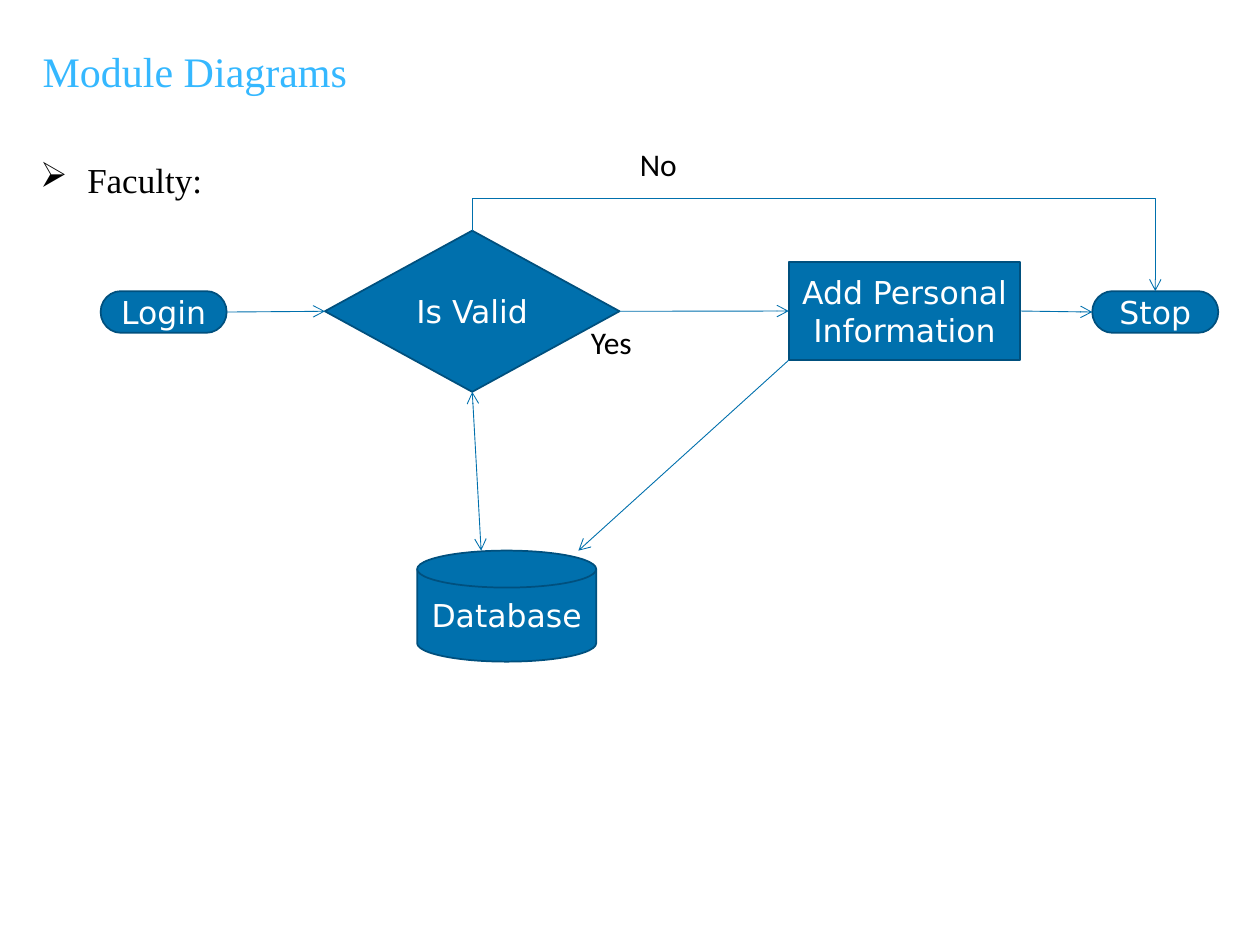
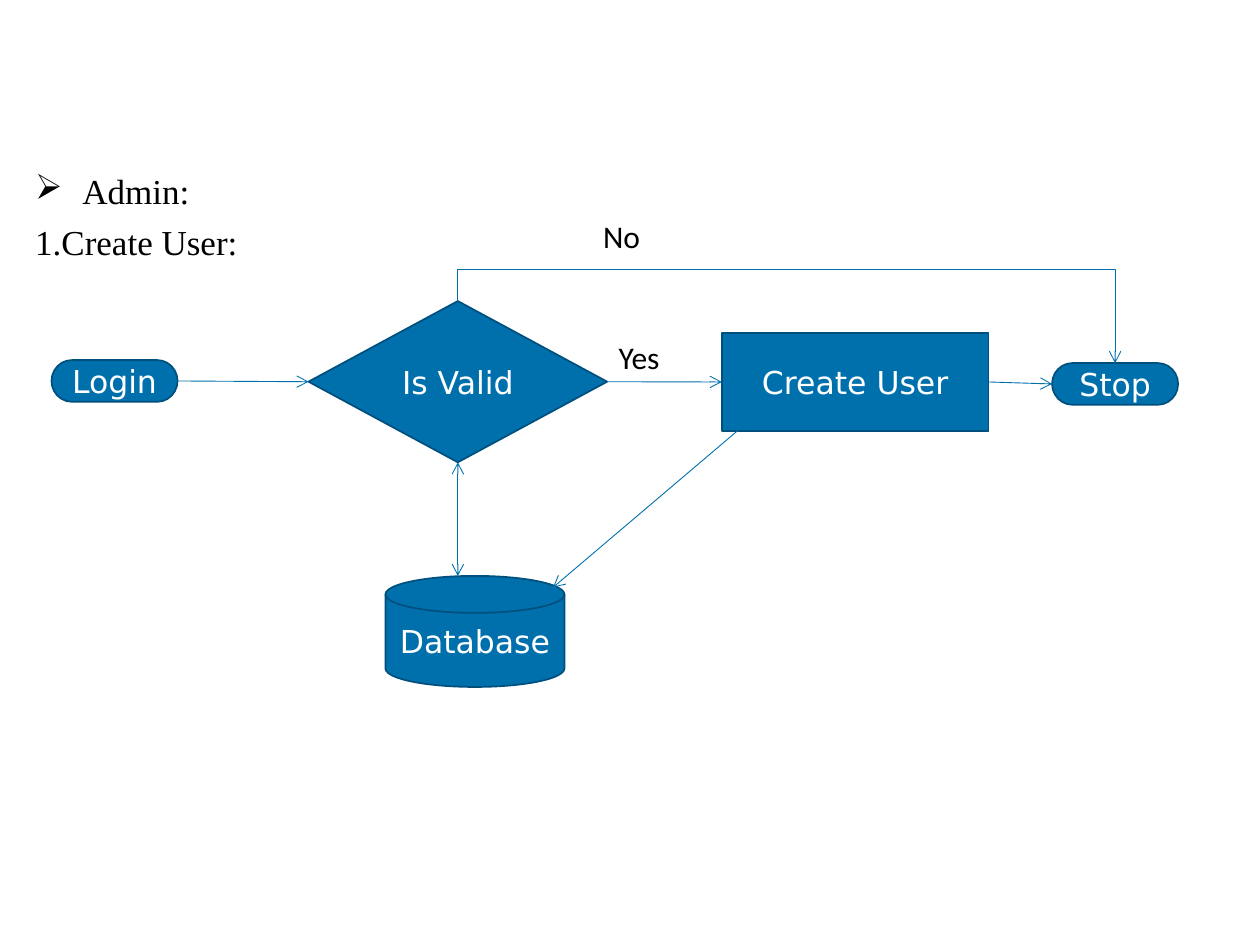
import pptx
import pptx.dml.color
import pptx.enum.shapes
import pptx.enum.text
import pptx.oxml.ns
import pptx.util
from lxml import etree

Cm = pptx.util.Cm
Pt = pptx.util.Pt
qn = pptx.oxml.ns.qn
SHAPE = pptx.enum.shapes.MSO_SHAPE
CONNECTOR = pptx.enum.shapes.MSO_CONNECTOR

# Shared colours and measures
FILL = "0070AD"
OUTLINE = "00507E"
TITLE = "35B8FF"
BLACK = "000000"
WHITE = "FFFFFF"
TOP, LEFT, BOTTOM, RIGHT = range(4)
BODY_WIDTH = 23.7
TERMINAL_SIZE = (2.54, 0.84)
DATABASE_SIZE = (3.61, 2.24)
STEP_HEIGHT = 1.98
DECISION_HEIGHT = 3.25
BEND_RISE = 0.64


def colour(code):
    return pptx.dml.color.RGBColor.from_string(code)


def write_text(shape, text, size=18, font="DejaVu Sans", color=WHITE, align="LEFT",
               anchor="TOP", insets=(0.25, 0.13), spacing=None, before=0,
               bullet=None, first=True):
    frame = shape.text_frame
    frame.word_wrap = True
    frame.vertical_anchor = getattr(pptx.enum.text.MSO_ANCHOR, anchor)
    frame.margin_left = frame.margin_right = Cm(insets[0])
    frame.margin_top = frame.margin_bottom = Cm(insets[1])
    paragraph = frame.paragraphs[0] if first else frame.add_paragraph()
    if bullet:
        properties = paragraph._p.get_or_add_pPr()
        properties.set("marL", str(Cm(0.95)))
        properties.set("indent", str(Cm(-0.95)))
        bullet_colour = etree.SubElement(properties, qn("a:buClr"))
        etree.SubElement(bullet_colour, qn("a:srgbClr"), val=color)
        etree.SubElement(properties, qn("a:buChar"), char=bullet)
    paragraph.alignment = getattr(pptx.enum.text.PP_ALIGN, align)
    paragraph.line_spacing = spacing
    paragraph.space_before = Pt(before)
    run = paragraph.add_run()
    run.text = text
    run.font.size = Pt(size)
    run.font.name = font
    run.font.color.rgb = colour(color)


# What differs between the two flowcharts, in centimetres
flowcharts = [
    {
        "title": "Module Diagrams",
        "body": (0.81, 2.77, 13.23),
        "heading": "Faculty:",
        "subheading": None,
        "login": (2.03, 5.87),
        "step": ("Add Personal Information", 15.9, 5.28, 4.67),
        "database": (8.41, 11.1),
        "decision": (6.55, 4.65, 5.94),
        "stop": (22.02, 5.87),
        "lookup_end": (9.7, 11.1),
        "save": ((15.9, 7.26), (11.66, 11.1)),
        "labels": [("No", 12.65, 2.79, 1.63), ("Yes", 11.66, 6.38, 1.98)],
    },
    {
        "title": None,
        "body": (0.71, 3.0, 14.94),
        "heading": "Admin:",
        "subheading": "1.Create User:",
        "login": (1.04, 7.26),
        "step": ("Create User", 14.55, 6.71, 5.38),
        "database": (7.77, 11.61),
        "decision": (6.22, 6.07, 6.02),
        "stop": (21.21, 7.32),
        "lookup_end": (9.23, 11.61),
        "save": ((15.19, 8.41), (11.15, 11.84)),
        "labels": [("No", 11.91, 4.24, 1.47), ("Yes", 12.22, 6.68, 1.93)],
    },
]

presentation = pptx.Presentation()
presentation.slide_width = Cm(25.4)
presentation.slide_height = Cm(19.05)

for chart in flowcharts:
    slide = presentation.slides.add_slide(presentation.slide_layouts[6])

    # Title and headings
    if chart["title"]:
        title = slide.shapes.add_textbox(Cm(0.86), Cm(1.14), Cm(BODY_WIDTH), Cm(2.39))
        write_text(title, chart["title"], size=24, font="Times New Roman", color=TITLE,
                   insets=(0, 0), spacing=Pt(22.5))
    left, top, height = chart["body"]
    body = slide.shapes.add_textbox(Cm(left), Cm(top), Cm(BODY_WIDTH), Cm(height))
    write_text(body, chart["heading"], size=20, font="Times New Roman", color=BLACK,
               insets=(0, 0), spacing=1.5, bullet="➢")
    if chart["subheading"]:
        write_text(body, chart["subheading"], size=20, font="Times New Roman", color=BLACK,
                   insets=(0, 0), spacing=0.9, before=7.5, first=False)

    # Flowchart nodes
    step_text, step_left, step_top, step_width = chart["step"]
    decision_left, decision_top, decision_width = chart["decision"]
    nodes = {}
    for name, text, kind, position, size in [
        ("login", "Login", SHAPE.FLOWCHART_TERMINATOR, chart["login"], TERMINAL_SIZE),
        ("step", step_text, SHAPE.RECTANGLE, (step_left, step_top), (step_width, STEP_HEIGHT)),
        ("database", "Database", SHAPE.FLOWCHART_MAGNETIC_DISK, chart["database"],
         DATABASE_SIZE),
        ("decision", "Is Valid", SHAPE.FLOWCHART_DECISION, (decision_left, decision_top),
         (decision_width, DECISION_HEIGHT)),
        ("stop", "Stop", SHAPE.FLOWCHART_TERMINATOR, chart["stop"], TERMINAL_SIZE),
    ]:
        node = slide.shapes.add_shape(kind, *[Cm(value) for value in position + size])
        node.shadow.inherit = False
        node.fill.solid()
        node.fill.fore_color.rgb = colour(FILL)
        node.line.color.rgb = colour(OUTLINE)
        node.line.width = Pt(1)
        write_text(node, text, align="CENTER", anchor="MIDDLE")
        nodes[name] = node

    # Branch labels
    for text, left, top, width in chart["labels"]:
        label = slide.shapes.add_textbox(Cm(left), Cm(top), Cm(width), Cm(1.02))
        write_text(label, text, font="Calibri", color=BLACK)

    # Arrows: an end is either (node, side) or a free point
    save_start, save_end = chart["save"]
    for kind, start, end, arrowheads in [
        (CONNECTOR.STRAIGHT, ("login", RIGHT), ("decision", LEFT), ["tailEnd"]),
        (CONNECTOR.STRAIGHT, ("decision", RIGHT), ("step", LEFT), ["tailEnd"]),
        (CONNECTOR.STRAIGHT, ("step", RIGHT), ("stop", LEFT), ["tailEnd"]),
        (CONNECTOR.STRAIGHT, ("decision", BOTTOM), chart["lookup_end"],
         ["headEnd", "tailEnd"]),
        (CONNECTOR.STRAIGHT, save_start, save_end, ["tailEnd"]),
        (CONNECTOR.ELBOW, ("decision", TOP), ("stop", TOP), ["tailEnd"]),
    ]:
        points = [(0, 0) if end_point[0] in nodes else end_point for end_point in (start, end)]
        arrow = slide.shapes.add_connector(
            kind, *[Cm(value) for point in points for value in point])
        if start[0] in nodes:
            arrow.begin_connect(nodes[start[0]], start[1])
        if end[0] in nodes:
            arrow.end_connect(nodes[end[0]], end[1])
        arrow.line.color.rgb = colour(FILL)
        arrow.line.width = Pt(0.5)
        properties = arrow._element.spPr
        for arrowhead in arrowheads:
            etree.SubElement(properties.find(qn("a:ln")), qn("a:" + arrowhead), type="arrow")
        etree.SubElement(properties, qn("a:effectLst"))

        # The "No" branch rises above the decision, so its box is turned a quarter
        if kind == CONNECTOR.ELBOW:
            span, drop = arrow.width, arrow.height
            arrow.left += (span - drop) // 2
            arrow.top -= (span - drop) // 2
            arrow.width, arrow.height = drop, span
            turn = properties.find(qn("a:xfrm"))
            turn.set("rot", str(270 * 60000))
            turn.set("flipH", "1")
            adjustments = properties.find(qn("a:prstGeom")).find(qn("a:avLst"))
            bend = round(-100000 * Cm(BEND_RISE) / drop)
            etree.SubElement(adjustments, qn("a:gd"), name="adj1", fmla=f"val {bend}")

presentation.save("out.pptx")
